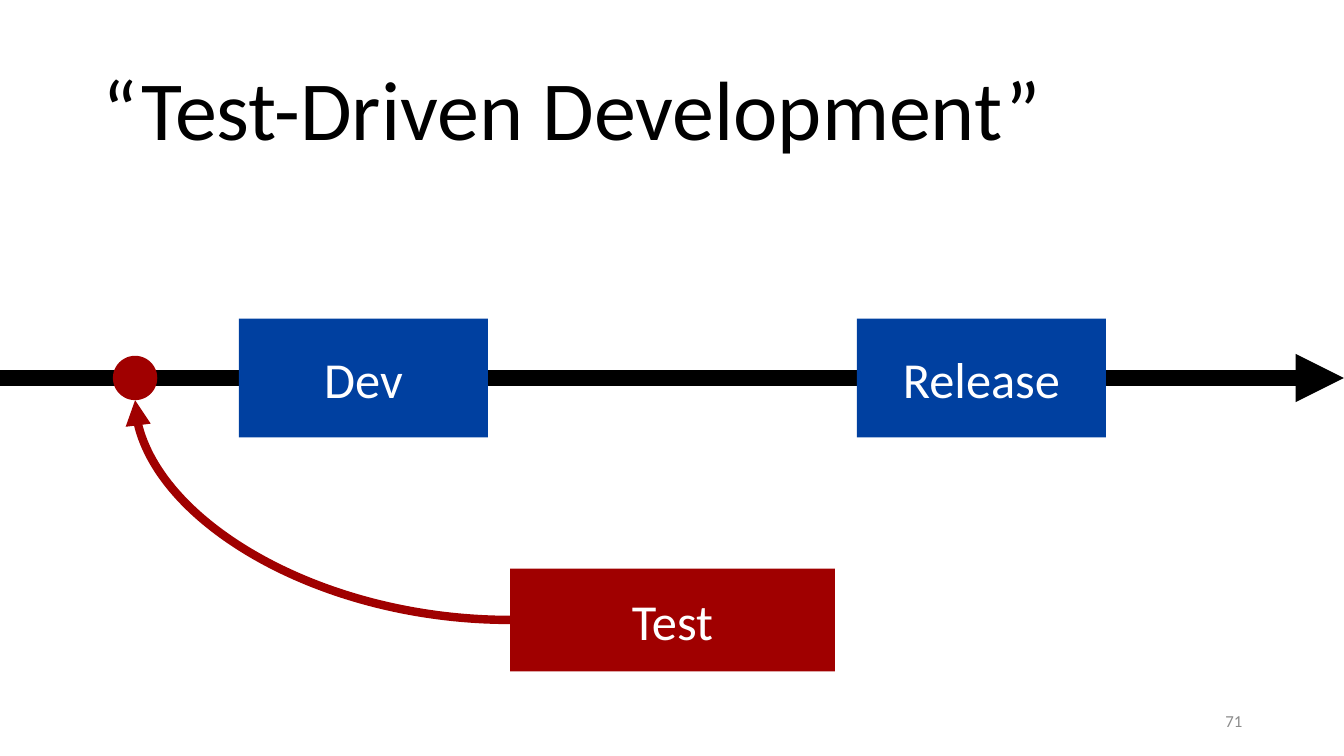
from pptx import Presentation
from pptx.dml.color import RGBColor as Rgb
from pptx.enum.shapes import MSO_CONNECTOR as Conn, MSO_SHAPE as Form
from pptx.enum.text import MSO_ANCHOR as Anchor, MSO_AUTO_SIZE as Auto, PP_ALIGN as Align
from pptx.oxml.ns import qn
from pptx.util import Inches, Pt
from lxml.etree import SubElement as Sub

HUES = {"black": "000000", "white": "FFFFFF", "blue": "0040A0",
        "red": "A00000", "gray": "8C8C8C"}


def hue(name):
    return Rgb.from_string(HUES[name])


def write(frame, text, size, color="black", align=Align.LEFT, lead=None):
    frame.word_wrap = True
    frame.auto_size = Auto.NONE
    frame.vertical_anchor = Anchor.MIDDLE
    para = frame.paragraphs[0]
    para.alignment = align
    para.line_spacing = lead
    run = para.add_run()
    run.text = text
    run.font.name = "Calibri"
    run.font.size = Pt(size)
    run.font.color.rgb = hue(color)


class Board:
    """Draws styled elements on one slide."""

    def __init__(self, deck):
        self.slide = deck.slides.add_slide(deck.slide_layouts[5])
        self.shapes = self.slide.shapes

    def title(self, text, box):
        head = self.shapes.title
        head.left, head.top, head.width, head.height = map(Inches, box)
        write(head.text_frame, text, 60, lead=0.9)

    def label(self, text, box, **style):
        area = self.shapes.add_textbox(*map(Inches, box))
        write(area.text_frame, text, **style)

    def block(self, box, color, text="", form=Form.RECTANGLE):
        shape = self.shapes.add_shape(form, *map(Inches, box))
        shape.shadow.inherit = False
        shape.fill.solid()
        shape.fill.fore_color.rgb = hue(color)
        shape.line.fill.background()
        if text:
            write(shape.text_frame, text, 36, "white", Align.CENTER)

    def arrow(self, start, end, color, width, kind=Conn.STRAIGHT):
        link = self.shapes.add_connector(kind, *map(Inches, start + end))
        link.line.color.rgb = hue(color)
        link.line.width = Pt(width)
        Sub(link.line._get_or_add_ln(), qn("a:tailEnd"), type="triangle")
        props = link._element.spPr
        Sub(props, qn("a:effectLst"))
        return props

    def bend(self, start, end, color, width):
        """Curve that leaves start leftwards and reaches end upwards."""
        props = self.arrow(end, start, color, width, Conn.CURVE)
        props.find(qn("a:prstGeom")).set("prst", "curvedConnector2")
        props.find(qn("a:xfrm")).set("rot", "10800000")


def main():
    deck = Presentation()
    deck.slide_width, deck.slide_height = Inches(13.33), Inches(7.5)
    board = Board(deck)
    board.title("“Test-Driven Development”", (0.92, 0.4, 11.5, 1.45))
    board.label("71", (9.42, 6.95, 3, 0.4), size=12, color="gray",
                align=Align.RIGHT)

    axis = 3.75
    board.arrow((0, axis), (13.33, axis), "black", 11.5)
    for text, left in (("Dev", 2.37), ("Release", 8.5)):
        board.block((left, axis - 0.59, 2.47, 1.18), "blue", text)
    board.block((5.06, 5.64, 3.22, 1.02), "red", "Test")

    dot, size = 1.34, 0.44
    board.block((dot - size / 2, axis - size / 2, size, size), "red",
                form=Form.OVAL)
    board.bend((5.06, 6.15), (dot, axis + size / 2), "red", 6)
    deck.save("out.pptx")


if __name__ == "__main__":
    main()
